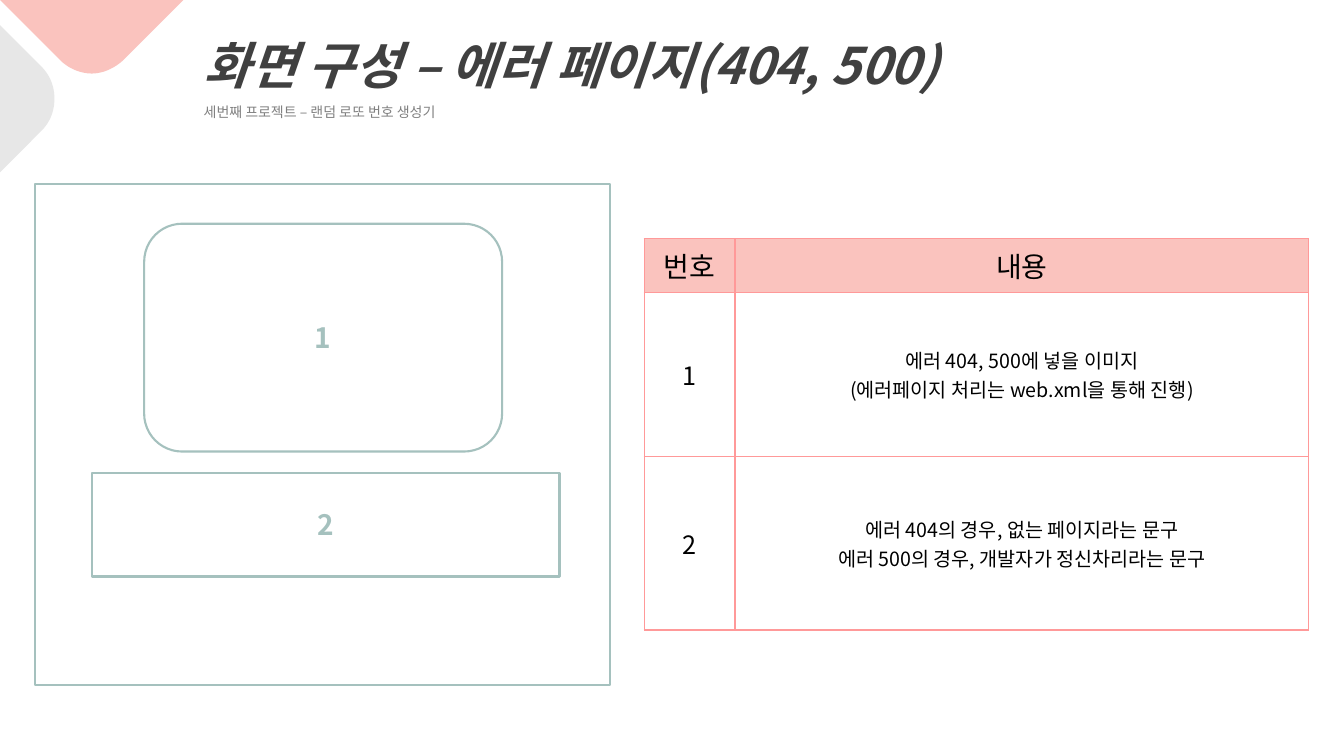
from collections import namedtuple

from lxml.etree import SubElement
from pptx import Presentation
from pptx.dml.color import RGBColor
from pptx.enum.shapes import MSO_SHAPE as Preset
from pptx.enum.text import MSO_ANCHOR as Anchor, MSO_AUTO_SIZE as AutoSize, PP_ALIGN as Align
from pptx.oxml.ns import qn
from pptx.util import Inches, Pt

FONT = "Noto Sans CJK KR"
PINK = RGBColor(0xFA, 0xC3, 0xBE)
ROSE = RGBColor(0xFF, 0x99, 0x99)
SAGE = RGBColor(0xA5, 0xC1, 0xBE)
PALE = RGBColor(0xE7, 0xE7, 0xE7)
GRAY = RGBColor(0x80, 0x80, 0x80)
DARK = RGBColor(0x40, 0x40, 0x40)
BLACK = RGBColor(0, 0, 0)

Box = namedtuple("Box", "left top width height")

ROWS = [
    ("번호", ["내용"]),
    ("1", ["에러 404, 500에 넣을 이미지", "(에러페이지 처리는 web.xml을 통해 진행)"]),
    ("2", ["에러 404의 경우, 없는 페이지라는 문구", "에러 500의 경우, 개발자가 정신차리라는 문구"]),
]


def style_font(para, size, color, bold=False, italic=False):
    """Set the font of a paragraph for Latin and Korean text."""
    font = para.font
    font.name, font.size, font.bold, font.italic = FONT, Pt(size), bold, italic
    font.color.rgb = color
    SubElement(font._element, qn("a:ea")).set("typeface", FONT)


def curve(start, first, second, end, steps=16):
    """Return points along a cubic curve."""
    points = []
    for step in range(steps + 1):
        t = step / steps
        weights = ((1 - t) ** 3, 3 * t * (1 - t) ** 2, 3 * t * t * (1 - t), t ** 3)
        corners = (start, first, second, end)
        points.append(tuple(sum(w * c[axis] for w, c in zip(weights, corners)) for axis in (0, 1)))
    return points


def add_corner(page, points, box, color):
    """Draw a filled outline offset from the corner of the box."""
    spots = [(Inches(box.left + x), Inches(box.top + y)) for x, y in points]
    builder = page.shapes.build_freeform(*spots[0])
    builder.add_line_segments(spots[1:], close=True)
    shape = builder.convert_to_shape()
    shape.shadow.inherit = False
    shape.fill.solid()
    shape.fill.fore_color.rgb = color
    shape.line.fill.background()


def add_decoration(page, box):
    """Place the two rounded tips in the top left corner."""
    pink_tip = [(0, 0)]
    pink_tip += curve((0.6, 0.6), (0.68, 0.68), (0.8, 0.73), (0.91, 0.73))
    pink_tip += curve((0.91, 0.73), (1.02, 0.73), (1.13, 0.68), (1.22, 0.6))
    pink_tip += [(1.82, 0)]
    gray_tip = [(0, 0.25)]
    gray_tip += curve((0.41, 0.66), (0.5, 0.75), (0.54, 0.86), (0.54, 0.98))
    gray_tip += curve((0.54, 0.98), (0.54, 1.1), (0.5, 1.21), (0.41, 1.3))
    gray_tip += [(0, 1.71)]
    add_corner(page, pink_tip, box, PINK)
    add_corner(page, gray_tip, box, PALE)


def add_heading(page, box):
    """Fill the title placeholder with the heading and its subtitle."""
    title = page.shapes.title
    title.left, title.top, title.width, title.height = map(Inches, box)
    frame = title.text_frame
    frame.text = "화면 구성 – 에러 페이지(404, 500)\n세번째 프로젝트 – 랜덤 로또 번호 생성기"
    frame.word_wrap = True
    frame.auto_size = AutoSize.NONE
    frame.vertical_anchor = Anchor.MIDDLE
    for para in frame.paragraphs:
        para.alignment = Align.LEFT
        para.line_spacing = 1.5
        para.space_before = Pt(0)
    style_font(frame.paragraphs[0], 36, DARK, bold=True, italic=True)
    style_font(frame.paragraphs[1], 10, GRAY)


def add_frame(page, preset, box, label=""):
    """Draw an outlined shape with an optional centred label."""
    shape = page.shapes.add_shape(preset, *map(Inches, box))
    shape.shadow.inherit = False
    shape.fill.background()
    shape.line.color.rgb = SAGE
    shape.line.width = Pt(1.5)
    if label:
        shape.text_frame.text = label
        shape.text_frame.vertical_anchor = Anchor.MIDDLE
        para = shape.text_frame.paragraphs[0]
        para.alignment = Align.CENTER
        style_font(para, 20, SAGE, bold=True)


def add_wireframe(page, box):
    """Sketch the error page with its image and message areas."""
    add_frame(page, Preset.RECTANGLE, box)
    image_box = Box(box.left + 1.08, box.top + 0.39, 3.55, 2.26)
    message_box = Box(box.left + 0.56, box.top + 2.86, 4.64, 1.03)
    add_frame(page, Preset.ROUNDED_RECTANGLE, image_box, "1")
    add_frame(page, Preset.RECTANGLE, message_box, "2")


def set_borders(cell):
    """Draw a thin rose line on all four sides of a cell."""
    properties = cell._tc.get_or_add_tcPr()
    for index, side in enumerate(("lnL", "lnR", "lnT", "lnB")):
        line = SubElement(properties, qn(f"a:{side}"), w=str(Pt(1)))
        fill = SubElement(line, qn("a:solidFill"))
        SubElement(fill, qn("a:srgbClr"), val=str(ROSE))
        properties.insert(index, line)


def fill_cell(cell, lines, size, color=None):
    """Write centred lines into a cell and set its fill."""
    cell.text = "\n".join(lines)
    cell.vertical_anchor = Anchor.MIDDLE
    for para in cell.text_frame.paragraphs:
        para.alignment = Align.CENTER
        style_font(para, size, BLACK)
    if color is None:
        cell.fill.background()
    else:
        cell.fill.solid()
        cell.fill.fore_color.rgb = color
    set_borders(cell)


def add_description(page, box):
    """Add the table that explains the numbered areas."""
    table = page.shapes.add_table(len(ROWS), 2, *map(Inches, box)).table
    table.horz_banding = False
    for column, width in zip(table.columns, (0.9, box.width - 0.9)):
        column.width = Inches(width)
    for row, height in zip(table.rows, (0.53, 1.63, 1.72)):
        row.height = Inches(height)
    for index, (number, lines) in enumerate(ROWS):
        header = index == 0
        color = PINK if header else None
        fill_cell(table.cell(index, 0), [number], 20 if header else 18, color)
        fill_cell(table.cell(index, 1), lines, 20 if header else 14, color)


def main():
    """Build the slide and save the deck."""
    deck = Presentation()
    deck.slide_width, deck.slide_height = Inches(13.33), Inches(7.5)
    page = deck.slides.add_slide(deck.slide_layouts[5])
    add_decoration(page, Box(0, 0, 1.82, 1.71))
    add_heading(page, Box(1.92, 0, 8.64, 1.23))
    add_description(page, Box(6.39, 2.37, 6.59, 3.88))
    add_wireframe(page, Box(0.35, 1.83, 5.7, 4.97))
    deck.save("out.pptx")


if __name__ == "__main__":
    main()
